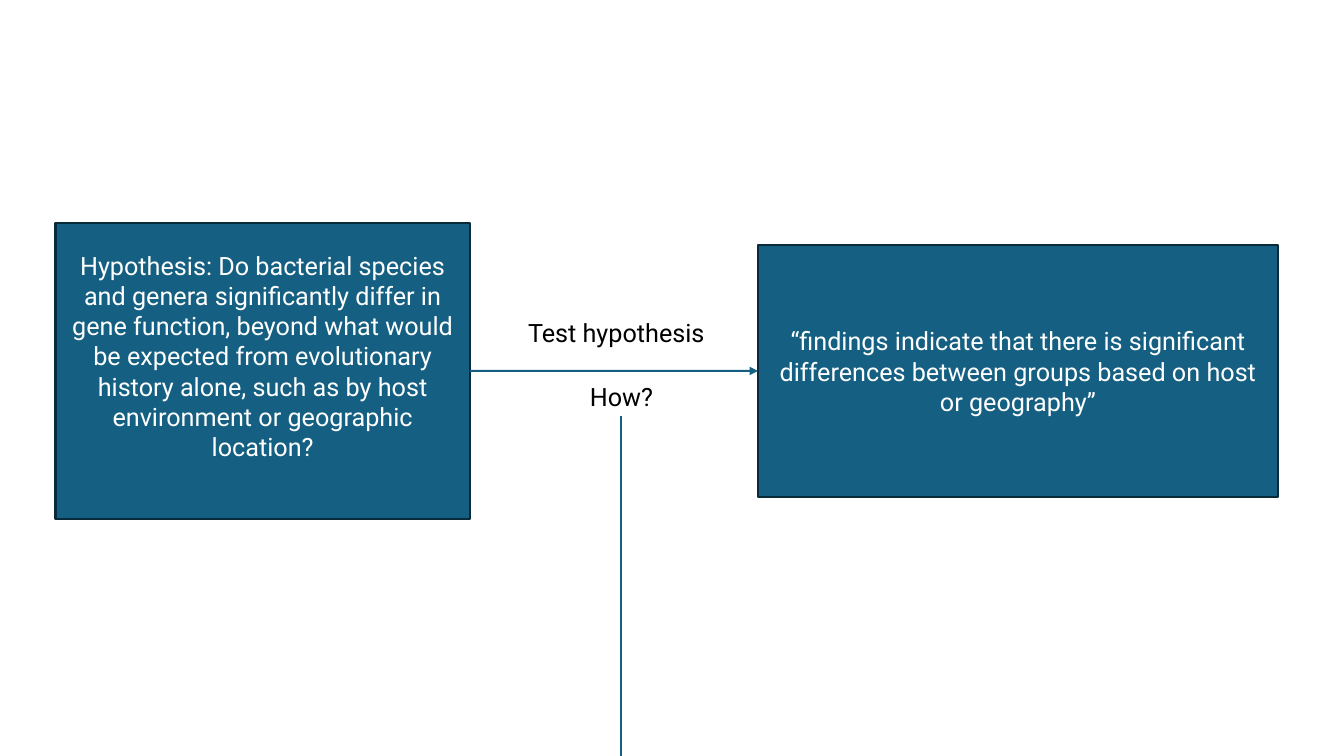
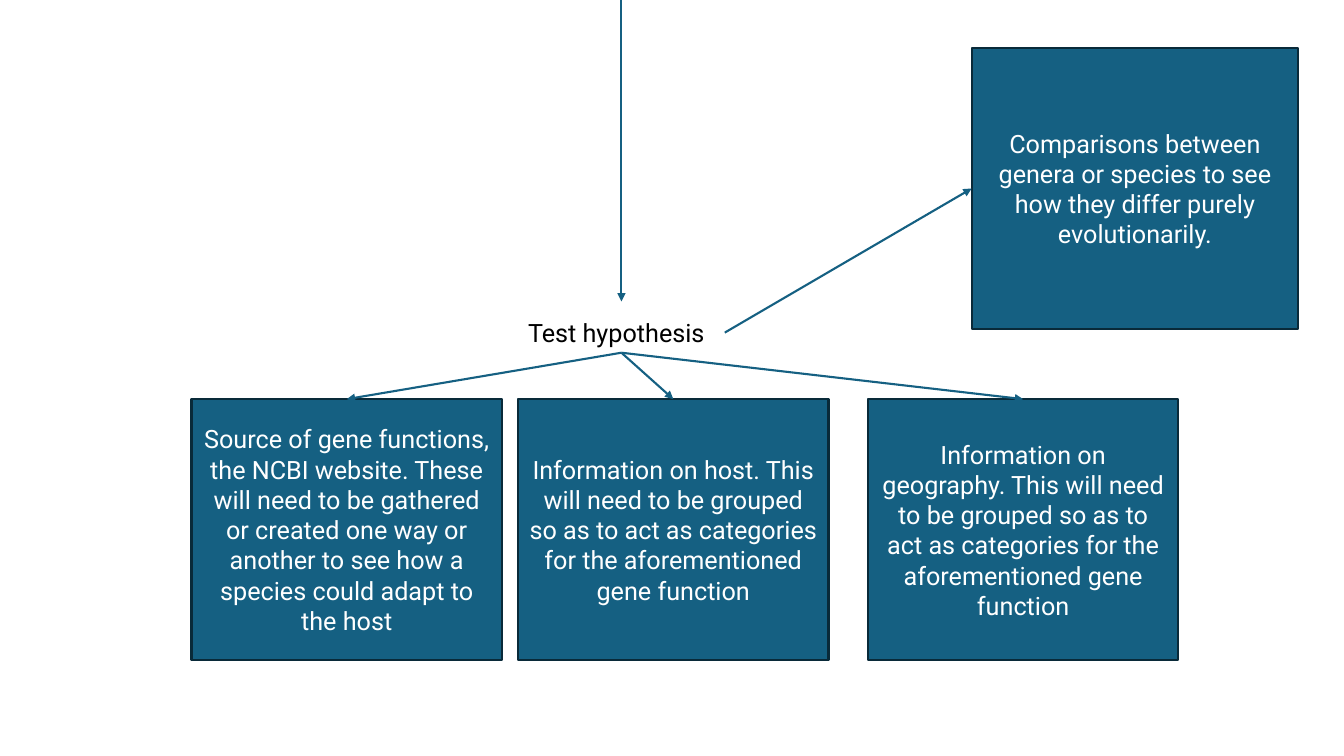
from dataclasses import dataclass

import pptx
import pptx.dml.color
import pptx.enum.shapes
import pptx.enum.text
import pptx.oxml
import pptx.oxml.ns
import pptx.presentation
import pptx.slide
import pptx.util

# Shared look
FONT = "Roboto"
FONT_SIZE = pptx.util.Pt(18)
LINE_WIDTH = pptx.util.Pt(1.5)
TEAL, DARK_TEAL, WHITE, BLACK = "156082", "092A39", "FFFFFF", "000000"
CENTER = pptx.enum.text.PP_ALIGN.CENTER
LEFT = pptx.enum.text.PP_ALIGN.LEFT

# Grid: 100 columns by 100 rows over the whole slide
SLIDE_WIDTH = pptx.util.Inches(13.333)
SLIDE_HEIGHT = pptx.util.Inches(7.5)
GRID = 100

Point = tuple[float, float]


@dataclass(frozen=True)
class Block:
    """A text area, placed in grid columns and rows."""
    text: str
    col: float
    row: float
    cols: float
    rows: float
    align: pptx.enum.text.PP_ALIGN = CENTER
    lift: float = 0  # extra rows kept free below the text

    @property
    def top(self) -> Point:
        return self.col + self.cols / 2, self.row

    @property
    def bottom(self) -> Point:
        return self.col + self.cols / 2, self.row + self.rows

    @property
    def left(self) -> Point:
        return self.col, self.row + self.rows / 2

    @property
    def right(self) -> Point:
        return self.col + self.cols, self.row + self.rows / 2


def x(col: float) -> int:
    return round(SLIDE_WIDTH * col / GRID)


def y(row: float) -> int:
    return round(SLIDE_HEIGHT * row / GRID)


def color(value: str) -> pptx.dml.color.RGBColor:
    return pptx.dml.color.RGBColor.from_string(value)


def write(frame: pptx.text.text.TextFrame, block: Block, ink: str) -> None:
    frame.word_wrap = True
    frame.text = block.text
    paragraph = frame.paragraphs[0]
    paragraph.alignment = block.align
    for run in paragraph.runs:
        run.font.name = FONT
        run.font.size = FONT_SIZE
        run.font.color.rgb = color(ink)


def draw_box(slide: pptx.slide.Slide, block: Block) -> None:
    box = slide.shapes.add_shape(
        pptx.enum.shapes.MSO_SHAPE.RECTANGLE,
        x(block.col), y(block.row), x(block.cols), y(block.rows))
    box.shadow.inherit = False
    box.fill.solid()
    box.fill.fore_color.rgb = color(TEAL)
    box.line.color.rgb = color(DARK_TEAL)
    box.line.width = LINE_WIDTH
    frame = box.text_frame
    frame.vertical_anchor = pptx.enum.text.MSO_ANCHOR.MIDDLE
    frame.margin_bottom += y(block.lift)
    write(frame, block, WHITE)


def draw_label(slide: pptx.slide.Slide, block: Block) -> None:
    label = slide.shapes.add_textbox(
        x(block.col), y(block.row), x(block.cols), y(block.rows))
    write(label.text_frame, block, BLACK)


def draw_line(slide: pptx.slide.Slide, start: Point, end: Point,
              arrow: bool = True) -> None:
    line = slide.shapes.add_connector(
        pptx.enum.shapes.MSO_CONNECTOR.STRAIGHT,
        x(start[0]), y(start[1]), x(end[0]), y(end[1]))
    line.line.color.rgb = color(TEAL)
    line.line.width = LINE_WIDTH
    namespace = pptx.oxml.ns.nsdecls("a")
    if arrow:
        line.line._get_or_add_ln().append(pptx.oxml.parse_xml(
            f'<a:tailEnd {namespace} type="triangle"/>'))
    line._element.spPr.append(
        pptx.oxml.parse_xml(f"<a:effectLst {namespace}/>"))


# Label that stands in the same place on both slides
TEST = Block("Test hypothesis", 38.55, 41.33, 15.38, 5.33, LEFT)


def build_hypothesis(slide: pptx.slide.Slide) -> None:
    hypothesis = Block(
        "Hypothesis: Do bacterial species and genera significantly differ in "
        "gene function, beyond what would be expected from evolutionary "
        "history alone, such as by host environment or geographic location?",
        4.13, 29.47, 30.83, 39.2, lift=4)
    findings = Block(
        "“findings indicate that there is significant differences between "
        "groups based on host or geography”",
        56.4, 32.4, 38.7, 33.33)
    how = Block("How?", TEST.col, 49.73, TEST.cols, TEST.rows)

    for block in (hypothesis, findings):
        draw_box(slide, block)
    for block in (TEST, how):
        draw_label(slide, block)
    draw_line(slide, hypothesis.right, findings.left)
    # Runs off the lower edge and goes on at the top of the next slide
    draw_line(slide, how.bottom, (how.bottom[0], GRID), arrow=False)


def build_method(slide: pptx.slide.Slide) -> None:
    evidence_row, evidence_cols, evidence_rows = 52.8, 23.1, 34.53
    grouping = ("This will need to be grouped so as to act as categories "
                "for the aforementioned gene function")
    evidence = [
        Block(text, col, evidence_row, evidence_cols, evidence_rows)
        for col, text in (
            (14.25, "Source of gene functions, the NCBI website. These will "
                    "need to be gathered or created one way or another to "
                    "see how a species could adapt to the host"),
            (TEST.col, f"Information on host. {grouping}"),
            (64.58, f"Information on geography. {grouping}"),
        )
    ]
    comparisons = Block(
        "Comparisons between genera or species to see how they differ "
        "purely evolutionarily.",
        72.3, 6.4, 24.3, 37.07)

    draw_label(slide, TEST)
    draw_line(slide, (TEST.top[0], 0), (TEST.top[0], 39.87))
    for block in evidence:
        draw_box(slide, block)
        draw_line(slide, TEST.bottom, block.top)
    draw_box(slide, comparisons)
    draw_line(slide, TEST.right, comparisons.left)


def main() -> None:
    deck = pptx.Presentation()
    deck.slide_width, deck.slide_height = SLIDE_WIDTH, SLIDE_HEIGHT
    blank = deck.slide_layouts[6]
    for build in (build_hypothesis, build_method):
        build(deck.slides.add_slide(blank))
    deck.save("out.pptx")


if __name__ == "__main__":
    main()
